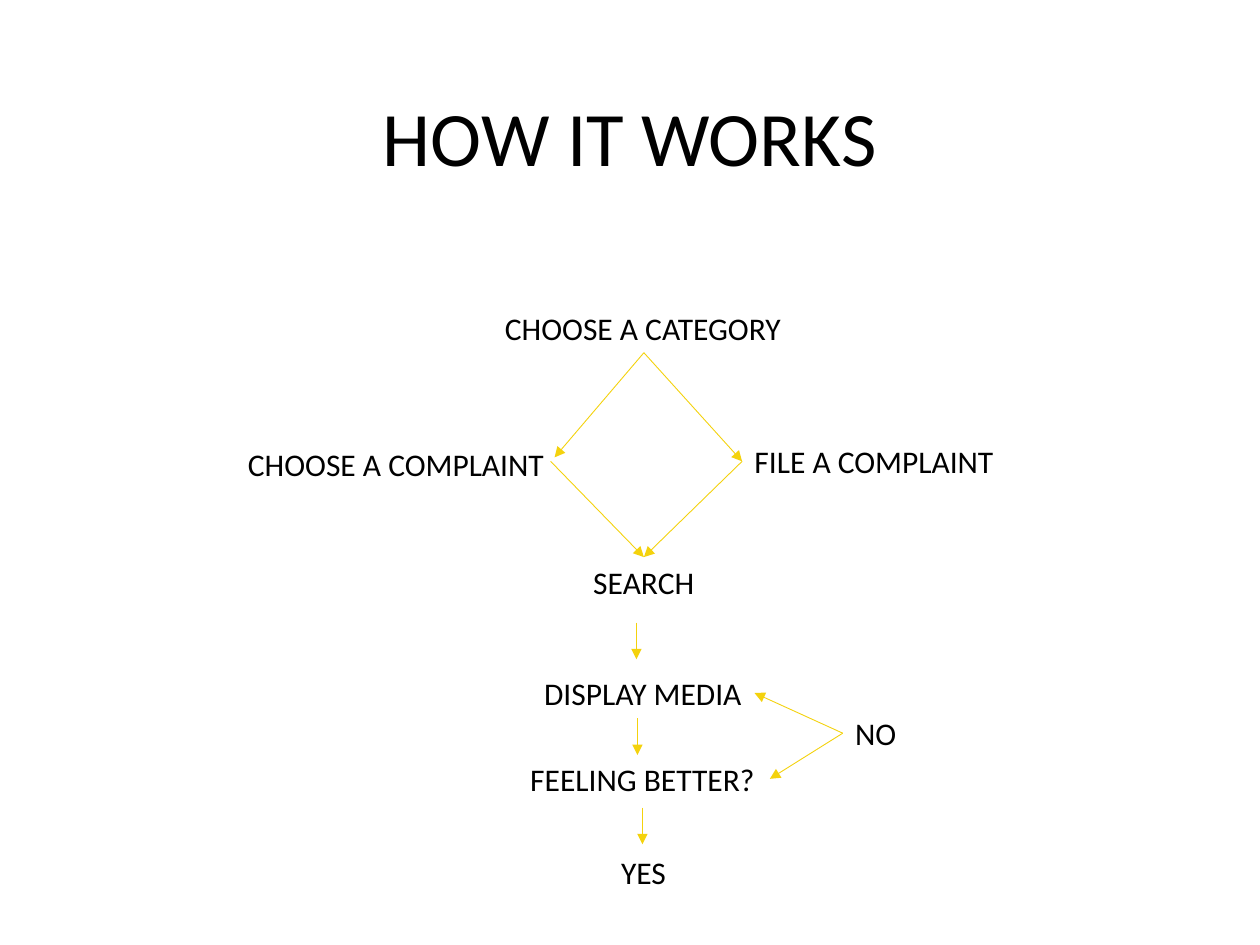
from lxml import etree
from pptx import Presentation
from pptx.dml.color import RGBColor
from pptx.enum.shapes import MSO_CONNECTOR
from pptx.enum.text import MSO_ANCHOR, MSO_AUTO_SIZE, PP_ALIGN
from pptx.oxml.ns import qn
from pptx.util import Cm, Pt


def color(value):
    return RGBColor.from_string(value)


def add_text(text, left, top, width, height, size):
    shape = slide.shapes.add_textbox(Cm(left), Cm(top), Cm(width), Cm(height))
    shape.text_frame.text = text
    paragraph = shape.text_frame.paragraphs[0]
    font = paragraph.runs[0].font
    font.name = "Calibri"
    font.size = Pt(size)
    font.color.rgb = color("000000")
    return shape.text_frame, paragraph


presentation = Presentation()
presentation.slide_width = Cm(25.4)
presentation.slide_height = Cm(19.05)
slide = presentation.slides.add_slide(presentation.slide_layouts[6])

title_frame, title_paragraph = add_text("HOW IT WORKS", 1.75, 1.02, 21.9, 3.68, 44)
title_frame.word_wrap = True
title_frame.vertical_anchor = MSO_ANCHOR.MIDDLE
title_paragraph.alignment = PP_ALIGN.CENTER
title_paragraph.line_spacing = 0.9

steps = [
    ("FILE A COMPLAINT", 14.96, 8.79, 5.38),
    ("CHOOSE A CATEGORY", 9.93, 6.1, 6.12),
    ("CHOOSE A COMPLAINT", 4.75, 8.84, 6.53),
    ("SEARCH", 11.71, 11.23, 2.57),
    ("DISPLAY MEDIA", 10.72, 13.46, 4.52),
    ("FEELING BETTER?", 10.44, 15.19, 5.08),
    ("NO", 16.99, 14.27, 1.35),
    ("YES", 12.27, 17.07, 1.42),
]
for text, left, top, width in steps:
    step_frame, step_paragraph = add_text(text, left, top, width, 1.02, 18)
    step_frame.word_wrap = False
    step_frame.auto_size = MSO_AUTO_SIZE.SHAPE_TO_FIT_TEXT

category = (12.98, 7.11)
file_complaint = (14.96, 9.3)
search = (12.98, 11.23)
answer_no = (16.99, 14.78)
arrows = [
    (category, file_complaint),
    (category, (11.18, 9.22)),
    (file_complaint, search),
    ((11.1, 9.3), search),
]
for x, y in [(12.83, 12.55), (12.85, 14.48), (12.95, 16.28)]:
    arrows.append(((x, y), (x, y + 0.74)))
arrows += [(answer_no, (15.21, 13.97)), (answer_no, (15.52, 15.7))]

for start, end in arrows:
    arrow = slide.shapes.add_connector(
        MSO_CONNECTOR.STRAIGHT, *[Cm(value) for value in start + end]
    )
    arrow.line.color.rgb = color("F4D20D")
    arrow.line.width = Pt(0.5)
    properties = arrow.element.spPr
    etree.SubElement(properties.find(qn("a:ln")), qn("a:tailEnd"), type="triangle")
    etree.SubElement(properties, qn("a:effectLst"))

presentation.save("out.pptx")
